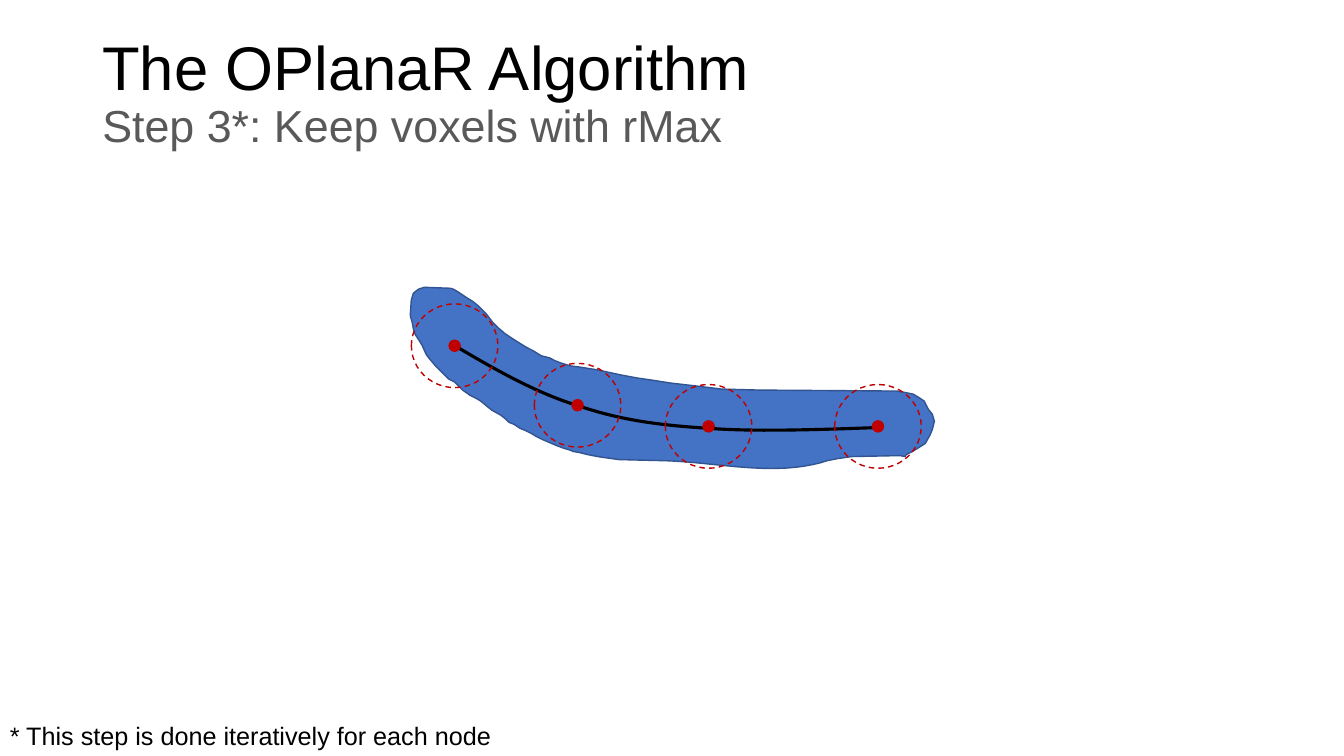
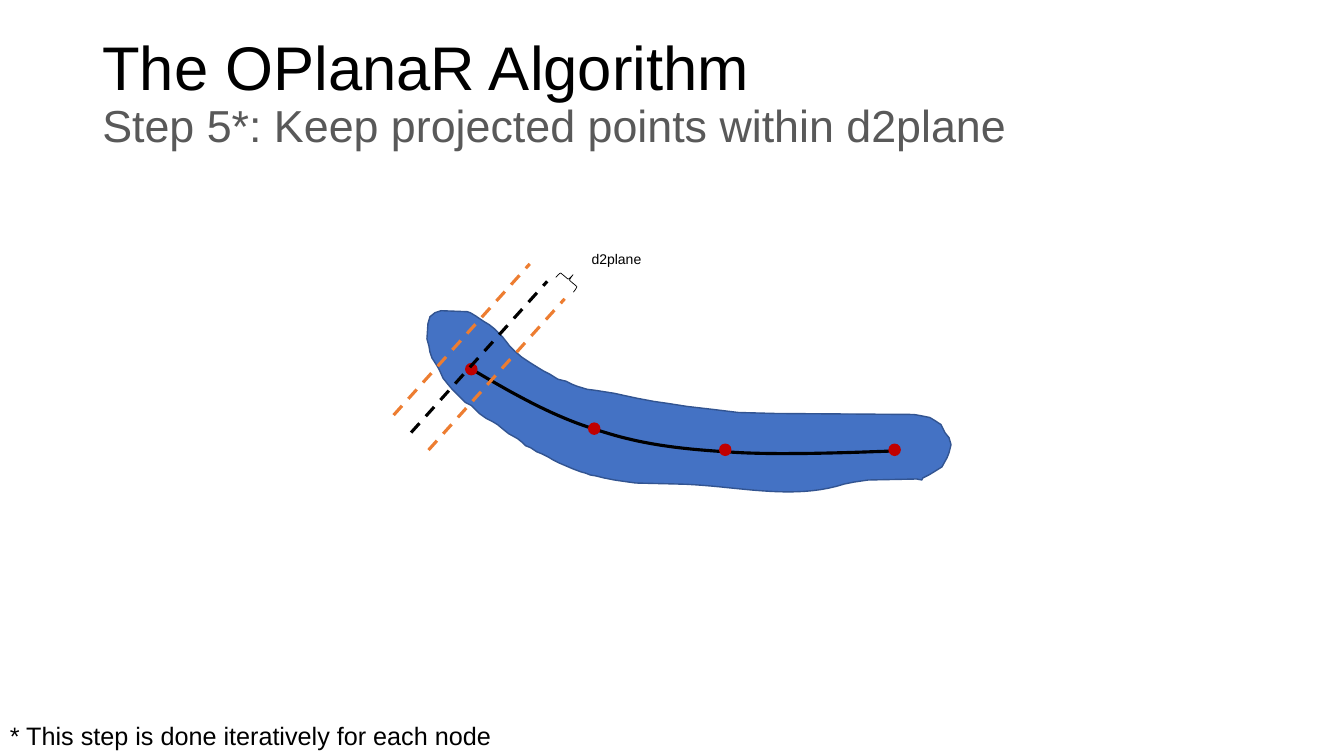
from lxml.etree import SubElement
from pptx import Presentation
from pptx.dml.color import RGBColor
from pptx.enum.dml import MSO_LINE
from pptx.enum.shapes import MSO_CONNECTOR, MSO_SHAPE
from pptx.enum.text import MSO_ANCHOR
from pptx.oxml.ns import qn
from pptx.util import Cm, Pt

FONT = "Arial"
COLORS = {
    "text": "000000",
    "subtitle": "595959",
    "tube": "4472C4",
    "tube_edge": "325491",
    "node": "C00000",
    "plane": "000000",
    "limit": "ED7D31",
}

# Tube geometry: hundredths of an inch, measured from the tube's top left
UNIT = 0.0254
TUBE_BULGE = [(414, 172), (362, 189), (304, 173), (249, 172)]
TUBE_EDGE = [
    # Lower edge, right to left
    (207, 171), (193, 169), (186, 168), (176, 166), (168, 164), (162, 163),
    (157, 161), (153, 160), (145, 157), (138, 154), (131, 151), (125, 148),
    (120, 145), (114, 142), (109, 140), (103, 136), (98, 134), (95, 131),
    (90, 127), (81, 122), (76, 118), (70, 113), (65, 110), (59, 107),
    (52, 102), (47, 97), (44, 94), (38, 91), (34, 87), (29, 82), (25, 78),
    (20, 72), (16, 67), (12, 58), (9, 53), (5, 47), (3, 41), (2, 35),
    # Left end
    (0, 28), (1, 13), (3, 6), (8, 2), (14, 0), (40, 1), (43, 2),
    # Upper edge, left to right
    (48, 5), (57, 11), (62, 14), (67, 18), (71, 22), (75, 26), (79, 31),
    (82, 35), (87, 40), (94, 46), (103, 52), (111, 57), (116, 60), (122, 63),
    (130, 68), (138, 70), (144, 73), (149, 75), (159, 78), (167, 79),
    (186, 82), (195, 84), (209, 87), (225, 90), (239, 92), (258, 95),
    (284, 98), (309, 101), (346, 102), (483, 103), (489, 104), (499, 106),
    # Right end
    (504, 109), (510, 113), (514, 121), (518, 126), (520, 133), (518, 141),
    (516, 146), (511, 155), (503, 160), (498, 163), (492, 166), (491, 168),
    (486, 167), (438, 168), (424, 170),
]
CENTERLINE = [
    [(46, 59), (85, 82), (125, 105), (168, 118)],
    [(168, 118), (210, 132), (248, 137), (298, 140)],
    [(298, 140), (348, 144), (437, 140), (467, 139)],
]
NODES = [(44, 58), (166, 117), (296, 138), (464, 138)]


def color(name):
    return RGBColor.from_string(COLORS[name])


def bezier(curve, steps=20):
    """Sample a cubic curve given by its four control points."""
    points = []
    for step in range(steps + 1):
        t = step / steps
        weights = ((1 - t) ** 3, 3 * t * (1 - t) ** 2, 3 * t ** 2 * (1 - t), t ** 3)
        points.append(tuple(sum(w * p[axis] for w, p in zip(weights, curve))
                            for axis in (0, 1)))
    return points


def style_line(line, name, width, dashed=False):
    line.color.rgb = color(name)
    line.width = Pt(width)
    if dashed:
        line.dash_style = MSO_LINE.DASH


def style_shape(shape, fill, line, width, dashed=False):
    shape.shadow.inherit = False
    if fill:
        shape.fill.solid()
        shape.fill.fore_color.rgb = color(fill)
    else:
        shape.fill.background()
    style_line(shape.line, line, width, dashed)


def add_text(page, frame, lines, anchor=MSO_ANCHOR.TOP, spacing=None):
    """Each line is (text, size, colour name)."""
    box = page.shapes.add_textbox(*map(Cm, frame)).text_frame
    box.word_wrap = True
    box.vertical_anchor = anchor
    for index, (text, size, name) in enumerate(lines):
        para = box.add_paragraph() if index else box.paragraphs[0]
        para.text = text
        para.line_spacing = spacing
        para.font.name = FONT
        para.font.size = Pt(size)
        para.font.color.rgb = color(name)


def add_outline(page, origin, points, closed, fill, line, width):
    places = [(Cm(origin[0] + UNIT * x), Cm(origin[1] + UNIT * y)) for x, y in points]
    builder = page.shapes.build_freeform(*places[0])
    builder.add_line_segments(places[1:], close=closed)
    style_shape(builder.convert_to_shape(), fill, line, width)


def add_circle(page, origin, node, width, height, fill=None, dashed=False):
    left = origin[0] + UNIT * node[0] - width / 2
    top = origin[1] + UNIT * node[1] - height / 2
    circle = page.shapes.add_shape(MSO_SHAPE.OVAL, Cm(left), Cm(top), Cm(width), Cm(height))
    style_shape(circle, fill, "node", 1, dashed)


def add_tube(page, origin):
    add_outline(page, origin, bezier(TUBE_BULGE) + TUBE_EDGE, True, "tube", "tube_edge", 1)
    centerline = [point for curve in CENTERLINE for point in bezier(curve)]
    add_outline(page, origin, centerline, False, None, "text", 2.25)
    for node in NODES:
        add_circle(page, origin, node, 0.28, 0.28, fill="node")


def add_plane(page, shift, name):
    """Dashed plane line, moved along the tube by shift."""
    ends = (10.36, 10.9, 13.79, 7.09)
    plane = page.shapes.add_connector(MSO_CONNECTOR.STRAIGHT,
                                      *(Cm(end + shift) for end in ends))
    style_line(plane.line, name, 2.25, dashed=True)
    SubElement(plane._element.spPr, qn("a:effectLst"))


def add_page(deck, step):
    page = deck.slides.add_slide(deck.slide_layouts[6])
    add_text(page, (2.33, 0.56, 29.21, 3.68),
             [("The OPlanaR Algorithm", 44, "text"), (step, 32, "subtitle")],
             MSO_ANCHOR.MIDDLE, 0.9)
    add_text(page, (0, 18.03, 13.82, 1.02),
             [("* This step is done iteratively for each node", 18, "text")])
    return page


def add_radius_page(deck):
    page = add_page(deck, "Step 3*: Keep voxels with rMax")
    origin = (10.34, 7.24)
    add_tube(page, origin)
    for node in NODES:
        add_circle(page, origin, node, 2.18, 2.11, dashed=True)


def add_distance_page(deck):
    page = add_page(deck, "Step 5*: Keep projected points within d2plane")
    add_tube(page, (10.76, 7.83))
    # Cutting plane between its two distance limits
    for shift, name in ((0, "plane"), (0.44, "limit"), (-0.44, "limit")):
        add_plane(page, shift, name)
    # Distance label
    brace = page.shapes.add_shape(MSO_SHAPE.RIGHT_BRACE,
                                  Cm(14.17), Cm(6.76), Cm(0.33), Cm(0.58))
    brace.rotation = 310
    style_shape(brace, None, "text", 0.5)
    add_text(page, (14.66, 6.2, 1.88, 0.69), [("d2plane", 10, "text")])


def main():
    deck = Presentation()
    deck.slide_width, deck.slide_height = Cm(33.87), Cm(19.05)
    add_radius_page(deck)
    add_distance_page(deck)
    deck.save("out.pptx")


if __name__ == "__main__":
    main()
